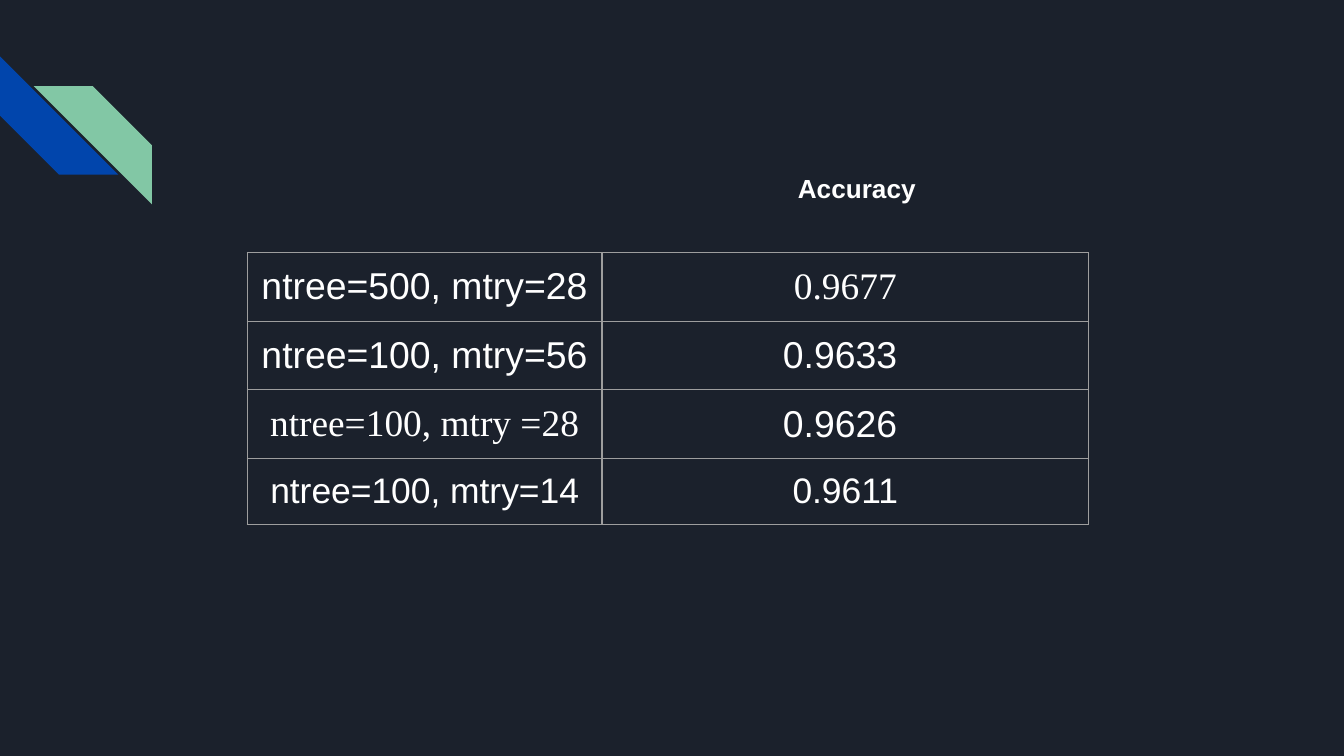
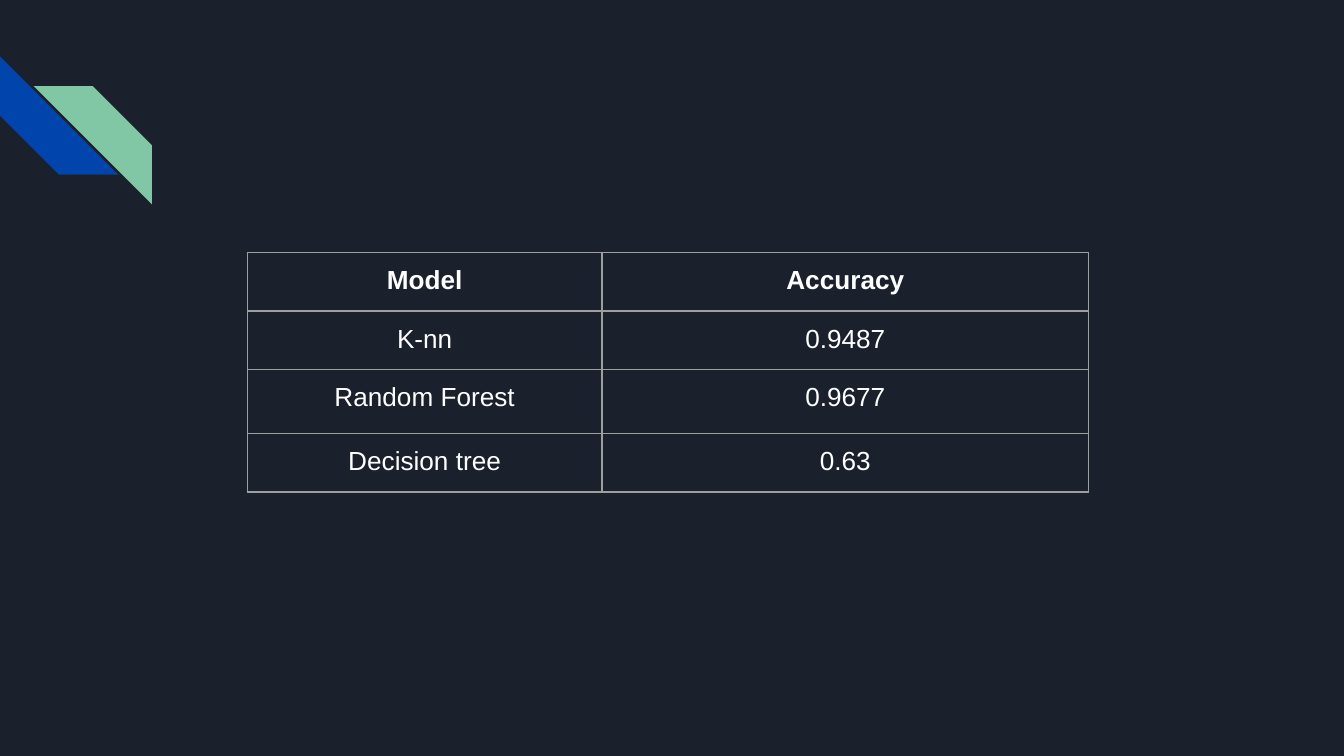
"""Build two dark slides that compare model accuracy in bordered tables."""
from dataclasses import dataclass

from lxml.etree import SubElement
from pptx import Presentation
from pptx.dml.color import RGBColor
from pptx.enum.shapes import MSO_SHAPE as Preset
from pptx.enum.text import MSO_AUTO_SIZE as AutoSize, PP_ALIGN as Align
from pptx.oxml.ns import qn
from pptx.slide import Slide
from pptx.table import _Cell as Cell
from pptx.text.text import TextFrame
from pptx.util import Inches, Pt

COLORS = {
    "night": "1B212C",
    "blue": "0145AC",
    "green": "82C7A5",
    "border": "9E9E9E",
    "white": "FFFFFF",
}
SANS = "Arial"
SERIF = "Times New Roman"
PAGE_WIDTH = Inches(10)
PAGE_HEIGHT = PAGE_WIDTH * 9 // 16
PADDING = Inches(0.1)
BORDER_WIDTH = Pt(0.75)
STRIPE_SIZE = Inches(0.88)
TABLE_LEFT, TABLE_TOP = Inches(1.84), Inches(1.88)
TABLE_WIDTH, TABLE_HEIGHT = Inches(6.26), Inches(3.28)
COLUMN_WIDTHS = [Inches(width) for width in (2.64, 3.62)]
ROW_HEIGHTS = [Inches(height) for height in (0.42, 0.42, 0.48, 0.42)]


@dataclass(frozen=True)
class Stripe:
    left: float
    top: float
    rotation: int
    color: str


@dataclass(frozen=True)
class Label:
    text: str
    size: int = 14
    font: str = SANS
    bold: bool = False


STRIPES = (Stripe(0, 0.42, 270, "blue"), Stripe(0.25, 0.64, 90, "green"))
ACCURACY = Label("Accuracy", bold=True)
FOREST_ROWS = (
    (Label("ntree=500, mtry=28", 20), Label("0.9677", 20, SERIF)),
    (Label("ntree=100, mtry=56", 20), Label("0.9633 ", 20)),
    (Label("ntree=100, mtry =28", 20, SERIF), Label("0.9626 ", 20)),
    (Label("ntree=100, mtry=14", 19), Label("0.9611", 19)),
)
MODEL_ROWS = (
    (Label("Model", bold=True), ACCURACY),
    (Label("K-nn"), Label("0.9487")),
    (Label("Random Forest"), Label("0.9677")),
    (Label("Decision tree"), Label("0.63")),
)


def color(name: str) -> RGBColor:
    return RGBColor.from_string(COLORS[name])


def write_label(frame: TextFrame, label: Label) -> None:
    para = frame.paragraphs[0]
    para.alignment = Align.CENTER
    span = para.add_run()
    span.text = label.text
    span.font.size = Pt(label.size)
    span.font.name = label.font
    span.font.bold = label.bold
    span.font.color.rgb = color("white")
    SubElement(para._p, qn("a:endParaRPr"), sz=str(label.size * 100))


def add_stripe(page: Slide, stripe: Stripe) -> None:
    shape = page.shapes.add_shape(
        Preset.DIAGONAL_STRIPE, Inches(stripe.left), Inches(stripe.top), STRIPE_SIZE, STRIPE_SIZE
    )
    shape.adjustments[0] = 0.5
    shape.rotation = stripe.rotation
    shape.shadow.inherit = False
    shape.fill.solid()
    shape.fill.fore_color.rgb = color(stripe.color)
    shape.line.fill.background()


def add_borders(cell: Cell) -> None:
    properties = cell._tc.get_or_add_tcPr()
    for side in ("L", "R", "T", "B"):
        line = SubElement(properties, qn(f"a:ln{side}"), w=str(BORDER_WIDTH))
        fill = SubElement(line, qn("a:solidFill"))
        SubElement(fill, qn("a:srgbClr"), val=COLORS["border"])


def add_accuracy_table(page: Slide, rows: tuple[tuple[Label, ...], ...]) -> None:
    holder = page.shapes.add_table(
        len(rows), len(COLUMN_WIDTHS), TABLE_LEFT, TABLE_TOP, TABLE_WIDTH, TABLE_HEIGHT
    )
    table = holder.table
    table.first_row = table.horz_banding = False
    for column, width in zip(table.columns, COLUMN_WIDTHS):
        column.width = width
    for row, height, labels in zip(table.rows, ROW_HEIGHTS, rows):
        row.height = height
        for cell, label in zip(row.cells, labels):
            cell.margin_left = cell.margin_right = PADDING
            cell.margin_top = cell.margin_bottom = PADDING
            add_borders(cell)
            cell.fill.background()
            write_label(cell.text_frame, label)
    holder.height = TABLE_HEIGHT


def add_heading(page: Slide, label: Label) -> None:
    box = page.shapes.add_textbox(Inches(5.62), Inches(1.18), Inches(1.51), Inches(0.44))
    frame = box.text_frame
    frame.word_wrap = True
    frame.auto_size = AutoSize.SHAPE_TO_FIT_TEXT
    frame.margin_left = frame.margin_right = PADDING
    frame.margin_top = frame.margin_bottom = PADDING
    write_label(frame, label)


def add_page(deck: Presentation, rows: tuple[tuple[Label, ...], ...]) -> Slide:
    page = deck.slides.add_slide(deck.slide_layouts[6])
    page.background.fill.solid()
    page.background.fill.fore_color.rgb = color("night")
    for stripe in STRIPES:
        add_stripe(page, stripe)
    add_accuracy_table(page, rows)
    return page


def main() -> None:
    deck = Presentation()
    deck.slide_width, deck.slide_height = PAGE_WIDTH, PAGE_HEIGHT
    forest_page = add_page(deck, FOREST_ROWS)
    add_heading(forest_page, ACCURACY)
    add_page(deck, MODEL_ROWS)
    deck.save("out.pptx")


if __name__ == "__main__":
    main()
